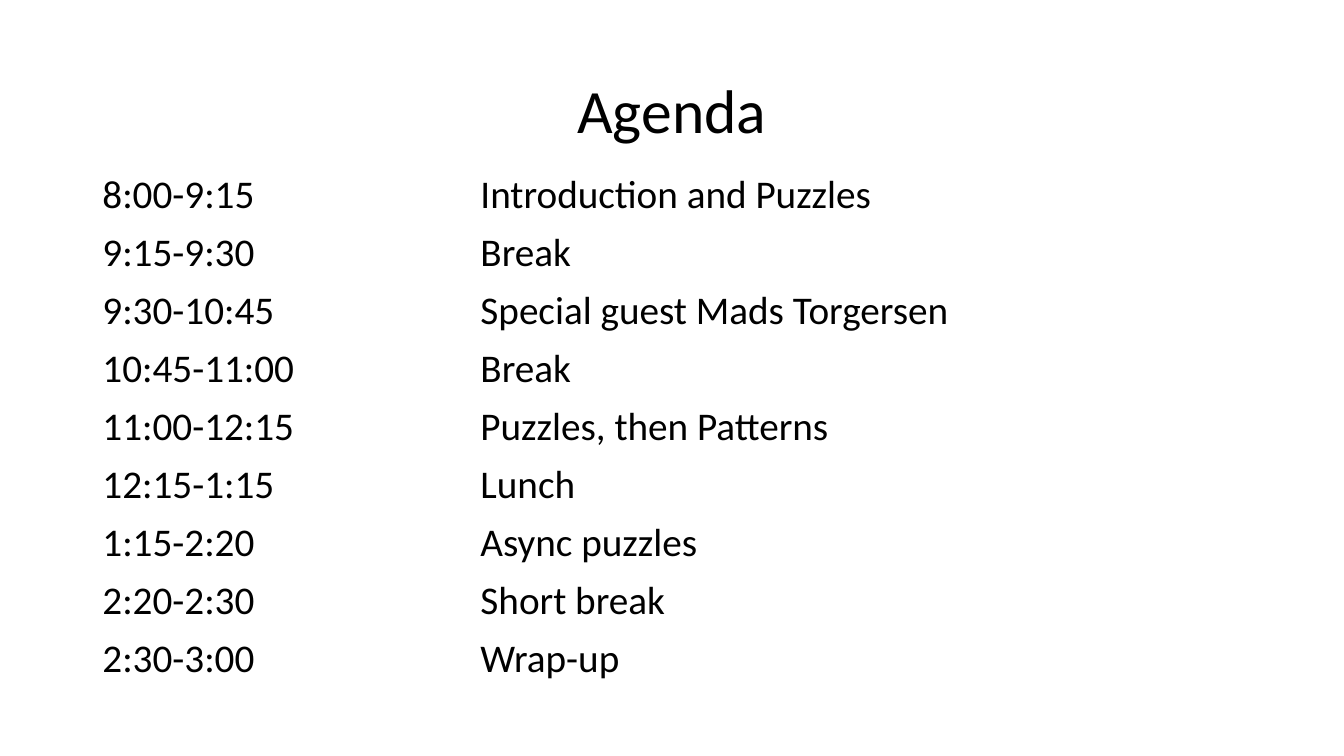
from dataclasses import dataclass

from pptx import Presentation
from pptx.dml.color import RGBColor
from pptx.enum.text import MSO_ANCHOR, PP_ALIGN
from pptx.slide import Slide
from pptx.text.text import TextFrame
from pptx.util import Pt

MIDDLE = MSO_ANCHOR.MIDDLE
CENTER = PP_ALIGN.CENTER
BLACK = RGBColor(0x00, 0x00, 0x00)
FONT_NAME = "Calibri"
TITLE_ONLY = 5

LEFT = 66
WIDTH = 828
TABLE_TOP = 118.8
ROW_HEIGHT = 40.8
COLUMN_WIDTHS = (270, 558)


@dataclass(frozen=True)
class Session:
    time: str
    topic: str


SESSIONS = (
    Session("8:00-9:15", "Introduction and Puzzles"),
    Session("9:15-9:30", "Break"),
    Session("9:30-10:45", "Special guest Mads Torgersen"),
    Session("10:45-11:00", "Break"),
    Session("11:00-12:15", "Puzzles, then Patterns"),
    Session("12:15-1:15", "Lunch"),
    Session("1:15-2:20", "Async puzzles"),
    Session("2:20-2:30", "Short break"),
    Session("2:30-3:00", "Wrap-up"),
)


def write_text(frame: TextFrame, text: str, size: float) -> None:
    para = frame.paragraphs[0]
    span = para.add_run()
    span.text = text
    for name, value in {"name": FONT_NAME, "size": Pt(size), "bold": False}.items():
        setattr(span.font, name, value)
    span.font.color.rgb = BLACK


def add_title(page: Slide, text: str) -> None:
    title = page.shapes.title
    place = {"left": LEFT, "top": 28.8, "width": WIDTH, "height": 104.4}
    for name, value in place.items():
        setattr(title, name, Pt(value))
    frame = title.text_frame
    frame.vertical_anchor = MIDDLE
    write_text(frame, text, 44)
    for name, value in {"alignment": CENTER, "line_spacing": 0.9}.items():
        setattr(frame.paragraphs[0], name, value)


def add_agenda(page: Slide, sessions: tuple[Session, ...]) -> None:
    table = page.shapes.add_table(
        len(sessions), len(COLUMN_WIDTHS),
        Pt(LEFT), Pt(TABLE_TOP), Pt(WIDTH), Pt(ROW_HEIGHT * len(sessions)),
    ).table
    for name in ("first_row", "horz_banding"):
        setattr(table, name, False)
    for column, width in zip(table.columns, COLUMN_WIDTHS):
        column.width = Pt(width)
    for row, session in zip(table.rows, sessions):
        row.height = Pt(ROW_HEIGHT)
        for cell, text in zip(row.cells, (session.time, session.topic)):
            cell.fill.background()
            write_text(cell.text_frame, text, 28)


def main() -> None:
    deck = Presentation()
    deck.slide_width = Pt(960)
    deck.slide_height = Pt(540)
    page = deck.slides.add_slide(deck.slide_layouts[TITLE_ONLY])
    add_title(page, "Agenda")
    add_agenda(page, SESSIONS)
    deck.save("out.pptx")


if __name__ == "__main__":
    main()
